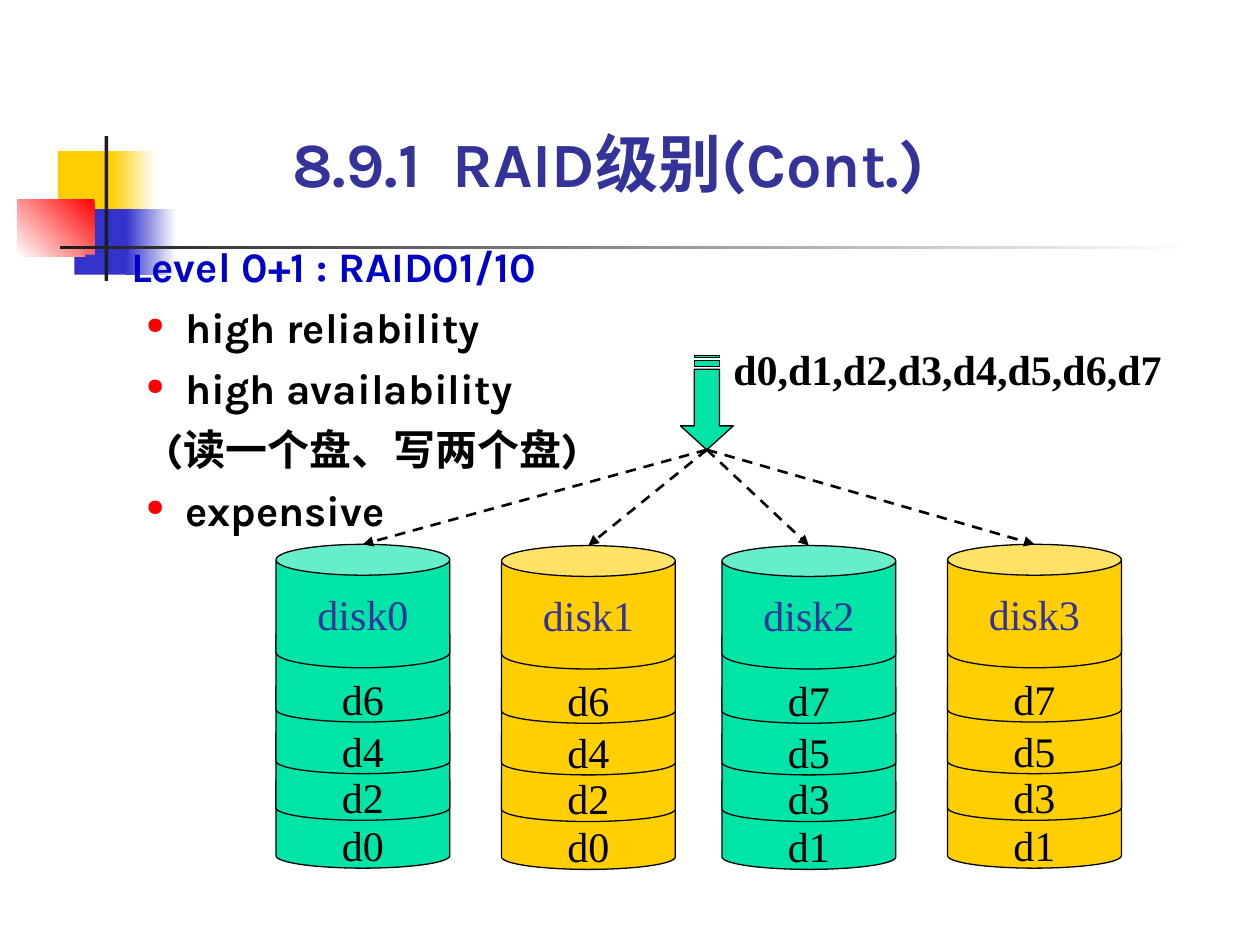
from lxml.etree import SubElement
from pptx import Presentation
from pptx.dml.color import RGBColor
from pptx.enum.dml import MSO_LINE
from pptx.enum.shapes import MSO_CONNECTOR, MSO_SHAPE
from pptx.enum.text import MSO_ANCHOR, PP_ALIGN
from pptx.oxml.ns import qn
from pptx.util import Inches, Pt

COLORS = {
    "white": "FFFFFF", "black": "000000", "ink": "1C1C1C",
    "yellow": "FFCF01", "green": "00E4A8", "red": "FF0000",
    "blue": "3333CC", "heading": "0000C8", "title": "333399",
}


class SlideBuilder:
    heading_font = "Karla"
    label_font = "Times New Roman"

    def __init__(self, page):
        self.page = page

    def color(self, name):
        return RGBColor.from_string(COLORS[name])

    def style_text(self, paragraph, text, font, size, color, bold=False):
        paragraph.text = text
        paragraph.font.name = font
        paragraph.font.size = Pt(size)
        paragraph.font.bold = bold
        paragraph.font.color.rgb = self.color(color)

    def outline(self, shape, fill):
        shape.shadow.inherit = False
        shape.fill.solid()
        shape.fill.fore_color.rgb = self.color(fill)
        shape.line.color.rgb = self.color("black")
        shape.line.width = Pt(0.75)

    def block(self, place, start, end=None, angle=180):
        shape = self.page.shapes.add_shape(MSO_SHAPE.RECTANGLE, *map(Inches, place))
        shape.shadow.inherit = False
        shape.line.fill.background()
        if end is None:
            shape.fill.solid()
            shape.fill.fore_color.rgb = self.color(start)
            return
        shape.fill.gradient()
        shape.fill.gradient_angle = angle
        for stop, name in zip(shape.fill.gradient_stops, (start, end)):
            stop.color.rgb = self.color(name)

    def text_box(self, place, anchor=MSO_ANCHOR.TOP):
        frame = self.page.shapes.add_textbox(*map(Inches, place)).text_frame
        frame.word_wrap = True
        frame.vertical_anchor = anchor
        frame.margin_left = frame.margin_right = 0
        frame.margin_top = frame.margin_bottom = 0
        return frame

    def line_of_text(self, place, text, font, size, color, anchor=MSO_ANCHOR.TOP):
        frame = self.text_box(place, anchor)
        self.style_text(frame.paragraphs[0], text, font, size, color, True)

    def outline_list(self, place, items):
        frame = self.text_box(place)
        for index, (text, color, margin, indent, bullet) in enumerate(items):
            paragraph = frame.add_paragraph() if index else frame.paragraphs[0]
            properties = paragraph._p.get_or_add_pPr()
            properties.set("marL", str(Inches(margin)))
            properties.set("indent", str(Inches(indent)))
            if bullet:
                symbol, bullet_color, percent = bullet
                tint = SubElement(properties, qn("a:buClr"))
                SubElement(tint, qn("a:srgbClr"), val=COLORS[bullet_color])
                SubElement(properties, qn("a:buSzPct"), val=str(percent * 1000))
                SubElement(properties, qn("a:buChar"), char=symbol)
            else:
                SubElement(properties, qn("a:buNone"))
            if index:
                paragraph.space_before = Pt(6)
            self.style_text(paragraph, text, self.heading_font, 24, color, True)

    def can(self, group, place, fill, text, color, margin_top):
        shape = group.shapes.add_shape(MSO_SHAPE.CAN, *map(Inches, place))
        self.outline(shape, fill)
        frame = shape.text_frame
        frame.word_wrap = False
        frame.vertical_anchor = MSO_ANCHOR.MIDDLE
        frame.margin_top = Inches(margin_top)
        paragraph = frame.paragraphs[0]
        paragraph.alignment = PP_ALIGN.CENTER
        self.style_text(paragraph, text, self.label_font, 24, color)

    def disk(self, left, top, fill, name, blocks):
        group = self.page.shapes.add_group_shape()
        for drop, text in zip((1.78, 1.4, 1.03, 0.62), blocks):
            self.can(group, (left, top + drop, 1.38, 0.79), fill, text, "black", 0.37)
        self.can(group, (left, top, 1.38, 0.98), fill, name, "title", 0.05)

    def striped_arrow(self, contours, fill):
        first = contours[0][0]
        builder = self.page.shapes.build_freeform(*map(Inches, first))
        for contour in contours:
            points = [tuple(map(Inches, point)) for point in contour]
            if contour is not contours[0]:
                builder.move_to(*points[0])
            builder.add_line_segments(points[1:], close=True)
        self.outline(builder.convert_to_shape(), fill)

    def dashed_arrow(self, start, end):
        line = self.page.shapes.add_connector(
            MSO_CONNECTOR.STRAIGHT, *map(Inches, (*start, *end)))
        line.line.color.rgb = self.color("black")
        line.line.width = Pt(1.5)
        line.line.dash_style = MSO_LINE.DASH
        SubElement(line.line._get_or_add_ln(), qn("a:tailEnd"), type="triangle")
        SubElement(line._element.spPr, qn("a:effectLst"))


def bar(top, bottom):
    return [(5.71, top), (5.71, bottom), (5.51, bottom), (5.51, top)]


def main():
    deck = Presentation()
    deck.slide_width = Inches(10)
    deck.slide_height = Inches(7.5)
    slide = SlideBuilder(deck.slides.add_slide(deck.slide_layouts[6]))

    slide.block((0.46, 1.2, 0.48, 0.52), "yellow")
    slide.block((0.88, 1.2, 0.36, 0.52), "white", "yellow")
    slide.block((0.59, 1.66, 0.46, 0.52), "blue")
    slide.block((1, 1.66, 0.4, 0.52), "white", "blue")
    slide.block((0.14, 1.58, 0.61, 0.46), "red", "white", 225)
    slide.block((0.83, 1.08, 0.03, 1.15), "ink")
    slide.block((0.48, 1.95, 9, 0.03), "white", "ink")

    dot = ("●", "red", 55)
    slide.outline_list((0.66, 1.91, 5.05, 2.33), [
        ("Level 0+1 : RAID01/10", "heading", 0.38, -0.38, ("■", "blue", 60)),
        ("high reliability", "black", 0.81, -0.31, dot),
        ("high availability", "black", 0.81, -0.31, dot),
        ("(读一个盘、写两个盘)", "black", 0.81, -0.15, None),
        ("expensive", "black", 0.81, -0.31, dot),
    ])

    even = ("d0", "d2", "d4", "d6")
    odd = ("d1", "d3", "d5", "d7")
    disks = [
        (2.19, 4.32, "green", even),
        (3.98, 4.33, "yellow", even),
        (5.73, 4.33, "green", odd),
        (7.52, 4.32, "yellow", odd),
    ]
    for number, (left, top, fill, blocks) in enumerate(disks):
        slide.disk(left, top, fill, f"disk{number}", blocks)

    head = [(5.71, 2.93), (5.71, 3.38), (5.82, 3.38), (5.61, 3.57),
            (5.4, 3.38), (5.51, 3.38), (5.51, 2.93)]
    slide.striped_arrow([head, bar(2.82, 2.84), bar(2.86, 2.91)], "green")
    for left, top, fill, blocks in disks:
        slide.dashed_arrow((5.61, 3.57), (left + 0.69, top))

    slide.line_of_text((5.82, 2.73, 3.75, 0.4), "d0,d1,d2,d3,d4,d5,d6,d7",
                       slide.label_font, 24, "black")
    slide.line_of_text((2.32, 0.99, 5.77, 0.6), "8.9.1  RAID级别(Cont.)",
                       slide.heading_font, 36, "title", MSO_ANCHOR.BOTTOM)

    deck.save("out.pptx")


if __name__ == "__main__":
    main()
